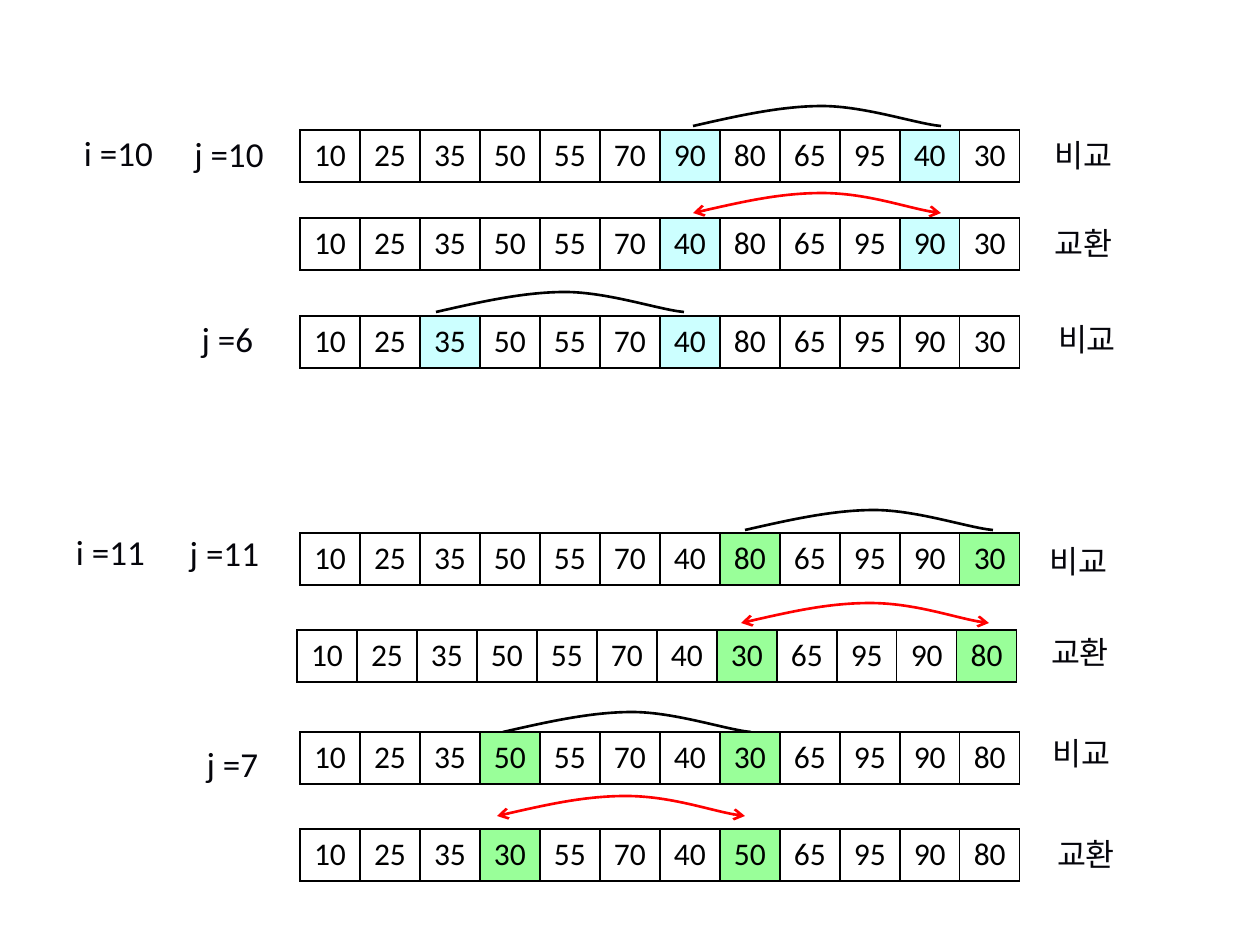
from lxml.etree import SubElement
from pptx import Presentation
from pptx.dml.color import RGBColor
from pptx.enum.text import MSO_ANCHOR as Anchor, PP_ALIGN as Align
from pptx.oxml.ns import qn
from pptx.util import Pt

PX = 914400 / 126
COLORS = {"text": "05050B", "black": "000000", "red": "FF0000",
          "white": "FFFFFF", "cyan": "CCFFFF", "green": "99FF99"}
CELL_WIDTH, CELL_HEIGHT = 60, 52
ARC = [(0, 20), (44, 10), (88, 0), (129, 0), (172, 0), (224, 18), (248, 20)]


def px(*lengths):
    """Turn pixel lengths into EMU."""
    return [round(length * PX) for length in lengths]


def write(frame, text, size=18, font="Calibri", color="text"):
    frame.word_wrap = True
    para = frame.paragraphs[0]
    para.alignment = Align.CENTER
    span = para.add_run()
    span.text = text
    span.font.size = Pt(size)
    span.font.name = font
    span.font.color.rgb = RGBColor.from_string(COLORS[color])
    SubElement(span.font._element, qn("a:ea"), typeface=font)


deck = Presentation()
deck.slide_width, deck.slide_height = px(1260, 945)
page = deck.slides.add_slide(deck.slide_layouts[6])
shapes = page.shapes

# Index labels: text, left, top, width
for text, left, top, width in [
    (" i =10", 40, 125, 149), (" j =10", 160, 126, 130), (" j =6", 171, 311, 105),
    (" i =11", 32, 524, 149), (" j =11", 160, 525, 121), (" j =7", 176, 736, 105),
]:
    box = shapes.add_textbox(*px(left, top, width, 55))
    box.text_frame.vertical_anchor = Anchor.MIDDLE
    write(box.text_frame, text, size=20)

# Heap steps: action, pair of positions, fill, table left and top,
# arc left and top, action label left and top
steps = [
    ("비교", (6, 10), "cyan", (300, 130), (693, 106), (1016, 130)),
    ("교환", (6, 10), "cyan", (300, 218), (693, 193), (1016, 218)),
    ("비교", (2, 6), "cyan", (300, 316), (436, 292), (1019, 314)),
    ("비교", (7, 11), "green", (300, 533), (745, 510), (1011, 536)),
    ("교환", (7, 11), "green", (297, 630), (741, 603), (1012, 627)),
    ("비교", (3, 7), "green", (300, 732), (503, 712), (1014, 728)),
    ("교환", (3, 7), "green", (300, 829), (497, 796), (1018, 829)),
]
values = [10, 25, 35, 50, 55, 70, 90, 80, 65, 95, 40, 30]

for action, pair, fill, table_at, arc_at, label_at in steps:
    swapping = action == "교환"
    if swapping:
        parent, child = pair
        values[parent], values[child] = values[child], values[parent]

    # Arc between the pair; its straight segments become two Bézier curves
    builder = shapes.build_freeform(*ARC[0], scale=PX)
    builder.add_line_segments(ARC[1:], close=False)
    arc = builder.convert_to_shape(*px(*arc_at))
    arc.shadow.inherit = False
    arc.fill.background()
    arc.line.width = Pt(1.5)
    arc.line.color.rgb = RGBColor.from_string(COLORS["red" if swapping else "black"])
    outline = next(arc._element.iter(qn("a:path")))
    segments = outline.findall(qn("a:lnTo"))
    for first in (0, 3):
        curve = SubElement(outline, qn("a:cubicBezTo"))
        for segment in segments[first:first + 3]:
            curve.append(segment[0])
            outline.remove(segment)
    if swapping:
        for end in ("a:headEnd", "a:tailEnd"):
            SubElement(arc.line._get_or_add_ln(), qn(end), type="arrow")

    box = shapes.add_textbox(*px(*label_at, 136, 50))
    box.text_frame.vertical_anchor = Anchor.MIDDLE
    write(box.text_frame, action, font="Noto Sans CJK KR")

    count = len(values)
    table = shapes.add_table(
        1, count, *px(*table_at, count * CELL_WIDTH, CELL_HEIGHT)).table
    table.first_row = table.horz_banding = False
    for position, value in enumerate(values):
        cell = table.cell(0, position)
        cell.vertical_anchor = Anchor.MIDDLE
        write(cell.text_frame, str(value), color="black")
        for side in ("a:lnL", "a:lnR", "a:lnT", "a:lnB"):
            border = SubElement(cell._tc.get_or_add_tcPr(), qn(side), w=str(Pt(1)))
            paint = SubElement(border, qn("a:solidFill"))
            SubElement(paint, qn("a:srgbClr"), val=COLORS["black"])
        cell.fill.solid()
        cell.fill.fore_color.rgb = RGBColor.from_string(
            COLORS[fill if position in pair else "white"])

deck.save("out.pptx")
